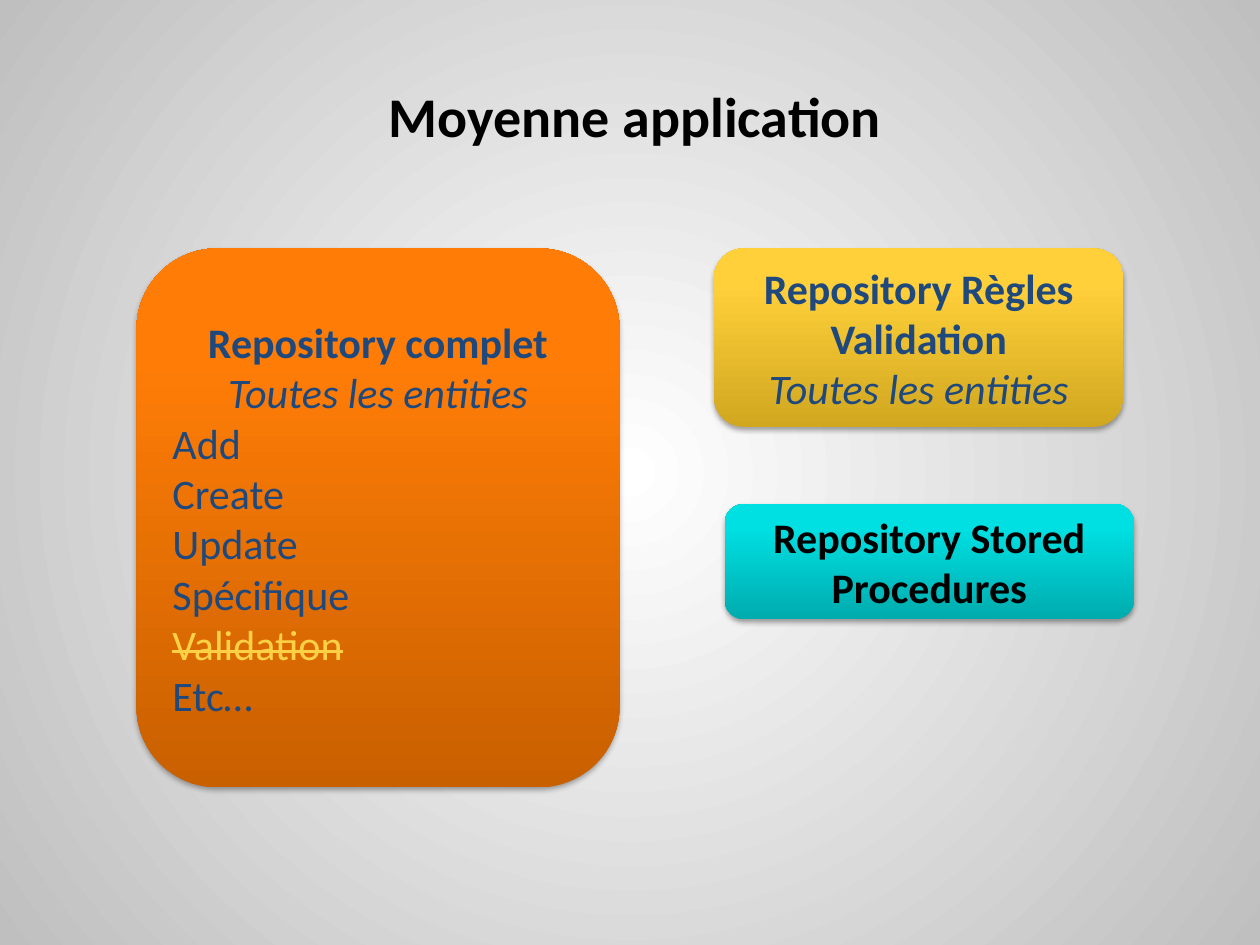
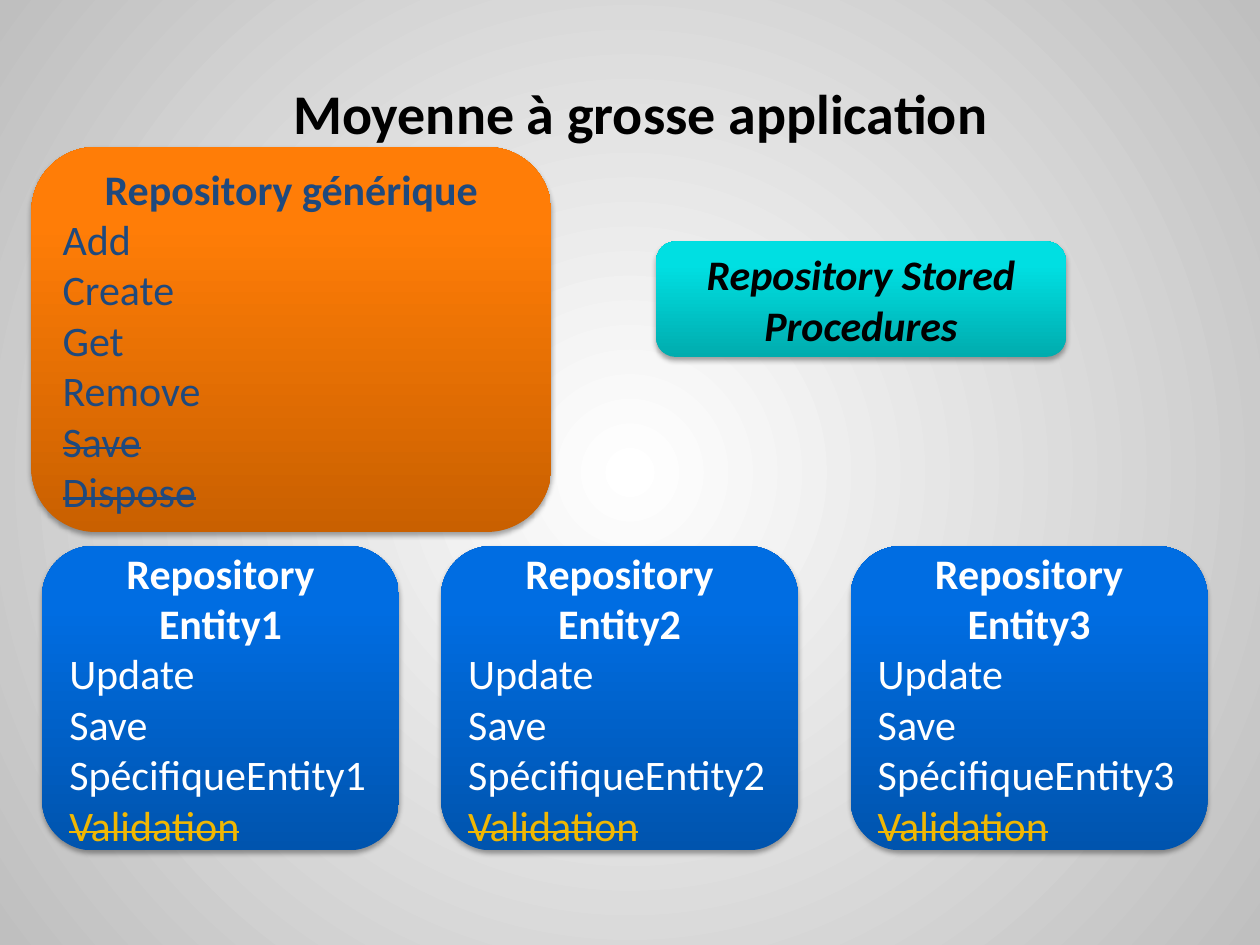
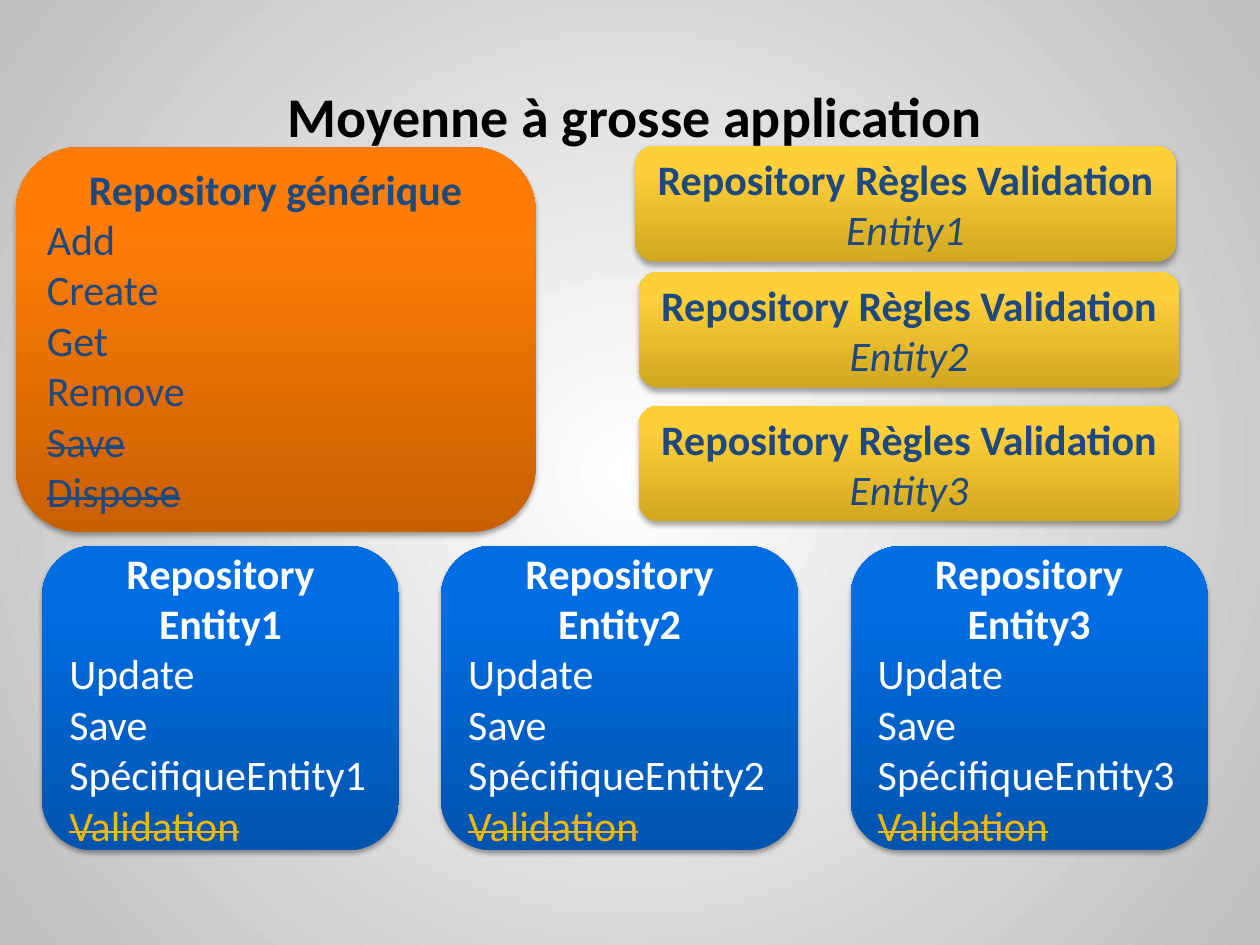
from dataclasses import dataclass

from lxml import etree
from pptx import Presentation
from pptx.dml.color import RGBColor
from pptx.enum.shapes import MSO_SHAPE
from pptx.enum.text import MSO_ANCHOR, PP_ALIGN
from pptx.oxml.ns import qn
from pptx.presentation import Presentation as Deck
from pptx.slide import Slide
from pptx.text.text import TextFrame
from pptx.util import Pt

ROUNDED = MSO_SHAPE.ROUNDED_RECTANGLE
MIDDLE = MSO_ANCHOR.MIDDLE
LEFT, CENTER = PP_ALIGN.LEFT, PP_ALIGN.CENTER

FONT = "Calibri"
TITLE_SIZE, BOX_SIZE = 32, 24
BLACK, WHITE, NAVY = "000000", "FFFFFF", "1F497D"
PALE_YELLOW, AMBER = "FDD146", "F0B703"

Stops = tuple[tuple[int, str], ...]
BACKDROP: Stops = ((0, "FFFFFF"), (100, "BFBFBF"))
ORANGE: Stops = ((0, "C96000"), (80, "FF7D07"), (100, "FF7E08"))
YELLOW: Stops = ((0, "D1A720"), (80, "FFD03A"), (100, "FFD03B"))
TURQUOISE: Stops = ((0, "00ACAE"), (80, "00DFE2"), (100, "00E0E3"))
BLUE: Stops = ((0, "0054AE"), (80, "006DE2"), (100, "006EE3"))

ENTITY_LEFTS = (24, 252, 486)
RULE_CORNERS = ((363, 83.5), (365, 155.5), (365, 232))


@dataclass(frozen=True)
class Line:
    text: str
    color: str
    align: PP_ALIGN = LEFT
    bold: bool = False
    italic: bool = False
    strike: bool = False


@dataclass(frozen=True)
class Box:
    left: float
    top: float
    width: float
    height: float
    stops: Stops
    lines: list[Line]


def rgb(color: str) -> RGBColor:
    return RGBColor.from_string(color)


def child(parent, tag: str, **attributes):
    """Append an XML element and return it."""
    names = {name: str(value) for name, value in attributes.items()}
    return etree.SubElement(parent, qn(tag), names)


def replace_with_gradient(properties, stops: Stops, radial: bool = False) -> None:
    """Put a gradient, radial or rising from the bottom, in place of the solid fill."""
    solid = properties.find(qn("a:solidFill"))
    gradient = solid.makeelement(qn("a:gradFill"), {"rotWithShape": "1"})
    stop_list = child(gradient, "a:gsLst")
    for percent, color in stops:
        stop = child(stop_list, "a:gs", pos=percent * 1000)
        child(stop, "a:srgbClr", val=color)
    if radial:
        circle = child(gradient, "a:path", path="circle")
        child(circle, "a:fillToRect", l=50000, t=50000, r=50000, b=50000)
    else:
        child(gradient, "a:lin", ang=270 * 60000, scaled=0)
    properties.replace(solid, gradient)


def add_shadow(properties) -> None:
    effects = properties.find(qn("a:effectLst"))
    shadow = child(effects, "a:outerShdw", blurRad=Pt(3.1), dist=Pt(1.8),
                   dir=90 * 60000, rotWithShape=0)
    color = child(shadow, "a:srgbClr", val=BLACK)
    child(color, "a:alpha", val=35000)


def write_lines(frame: TextFrame, lines: list[Line], size: float) -> None:
    frame.word_wrap = True
    frame.vertical_anchor = MIDDLE
    for index, line in enumerate(lines):
        para = frame.add_paragraph() if index else frame.paragraphs[0]
        para.alignment = line.align
        span = para.add_run()
        span.text = line.text
        font = span.font
        font.name, font.size = FONT, Pt(size)
        font.bold, font.italic = line.bold, line.italic
        font.color.rgb = rgb(line.color)
        if line.strike:
            span.font._element.set("strike", "sngStrike")


def add_box(page: Slide, box: Box) -> None:
    shape = page.shapes.add_shape(ROUNDED, Pt(box.left), Pt(box.top),
                                  Pt(box.width), Pt(box.height))
    shape.shadow.inherit = False
    shape.fill.solid()
    shape.line.fill.background()
    properties = shape.element.spPr
    replace_with_gradient(properties, box.stops)
    add_shadow(properties)
    write_lines(shape.text_frame, box.lines, BOX_SIZE)


def add_page(deck: Deck, title: str, boxes: list[Box],
             left: float = 6, top: float = 18) -> None:
    page = deck.slides.add_slide(deck.slide_layouts[0])
    subtitle = page.placeholders[1].element
    subtitle.getparent().remove(subtitle)
    heading = page.shapes.title
    heading.left, heading.top = Pt(left), Pt(top)
    heading.width, heading.height = Pt(714), Pt(96)
    write_lines(heading.text_frame, [Line(title, BLACK, CENTER, bold=True)], TITLE_SIZE)
    for box in boxes:
        add_box(page, box)


def name_line(text: str, color: str = NAVY) -> Line:
    return Line(text, color, CENTER, bold=True)


def scope_line(text: str) -> Line:
    return Line(text, NAVY, CENTER, italic=True)


def complete_box() -> Box:
    lines = [name_line("Repository complet"), scope_line("Toutes les entities")]
    lines += [Line(text, NAVY) for text in ("Add", "Create", "Update", "Spécifique")]
    lines += [Line("Validation", PALE_YELLOW, strike=True), Line("Etc…", NAVY)]
    return Box(78, 142, 276, 308, ORANGE, lines)


def generic_box(left: float) -> Box:
    lines = [name_line("Repository générique")]
    lines += [Line(text, NAVY) for text in ("Add", "Create", "Get", "Remove")]
    lines += [Line(text, NAVY, strike=True) for text in ("Save", "Dispose")]
    return Box(left, 84, 297, 220, ORANGE, lines)


def rules_box(left: float, top: float, width: float, height: float, scope: str) -> Box:
    lines = [name_line("Repository Règles Validation"), scope_line(scope)]
    return Box(left, top, width, height, YELLOW, lines)


def procedures_box(left: float, top: float, italic: bool = False) -> Box:
    line = Line("Repository Stored Procedures", BLACK, CENTER, bold=True, italic=italic)
    return Box(left, top, 234, 66, TURQUOISE, [line])


def entity_boxes() -> list[Box]:
    boxes = []
    for number, left in enumerate(ENTITY_LEFTS, start=1):
        lines = [name_line(f"Repository Entity{number}", WHITE)]
        lines += [Line(text, WHITE)
                  for text in ("Update", "Save", f"SpécifiqueEntity{number}")]
        lines.append(Line("Validation", AMBER, strike=True))
        boxes.append(Box(left, 312, 204, 174, BLUE, lines))
    return boxes


def main() -> None:
    deck = Presentation()
    deck.slide_width, deck.slide_height = Pt(720), Pt(540)
    master = deck.slide_master
    master.background.fill.solid()
    backdrop = master.element.find(".//" + qn("p:bgPr"))
    replace_with_gradient(backdrop, BACKDROP, radial=True)

    add_page(deck, "Moyenne application", [
        complete_box(),
        rules_box(408, 142, 234, 102, "Toutes les entities"),
        procedures_box(414, 288),
    ])
    large_title = "Moyenne à grosse application"
    add_page(deck, large_title, [
        generic_box(18),
        procedures_box(375, 138, italic=True),
        *entity_boxes(),
    ], left=9, top=16)
    entity_rules = [rules_box(left, top, 309, 66, f"Entity{number}")
                    for number, (left, top) in enumerate(RULE_CORNERS, start=1)]
    add_page(deck, large_title, [*entity_rules, generic_box(9), *entity_boxes()])

    deck.save("out.pptx")


if __name__ == "__main__":
    main()
